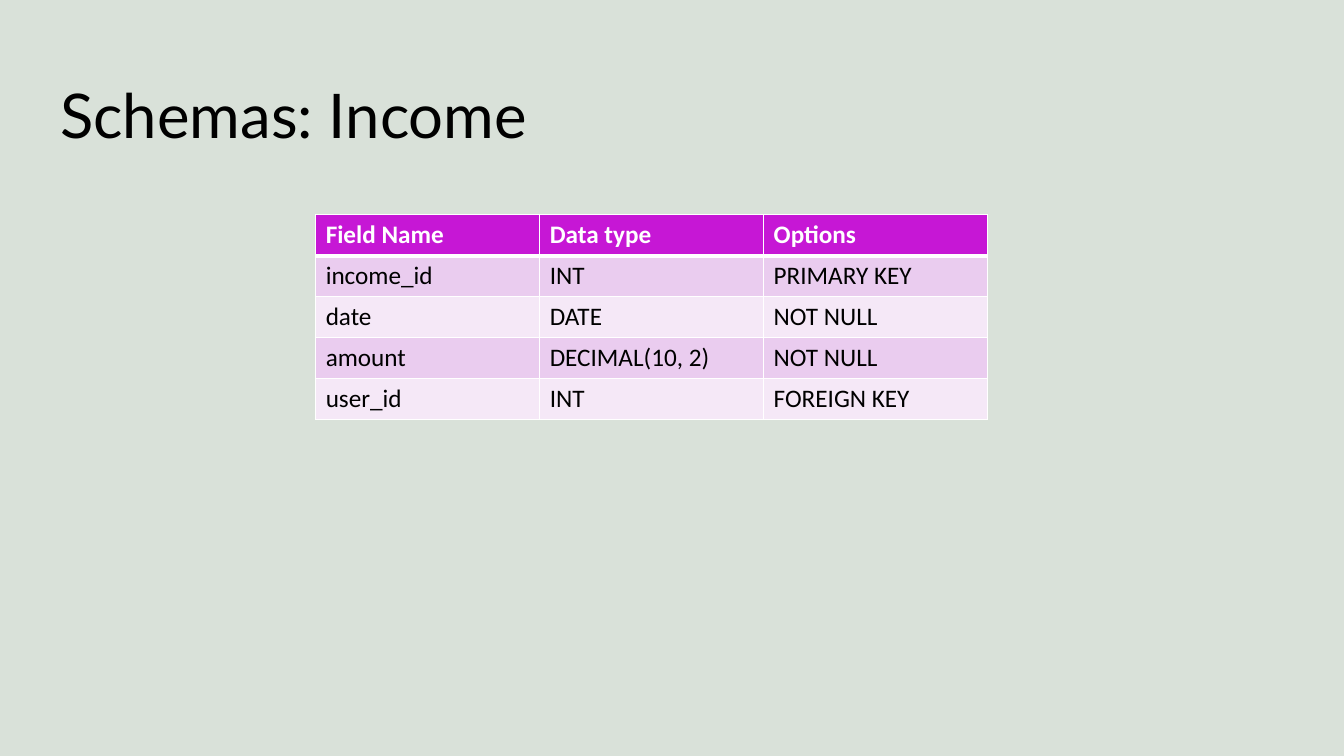
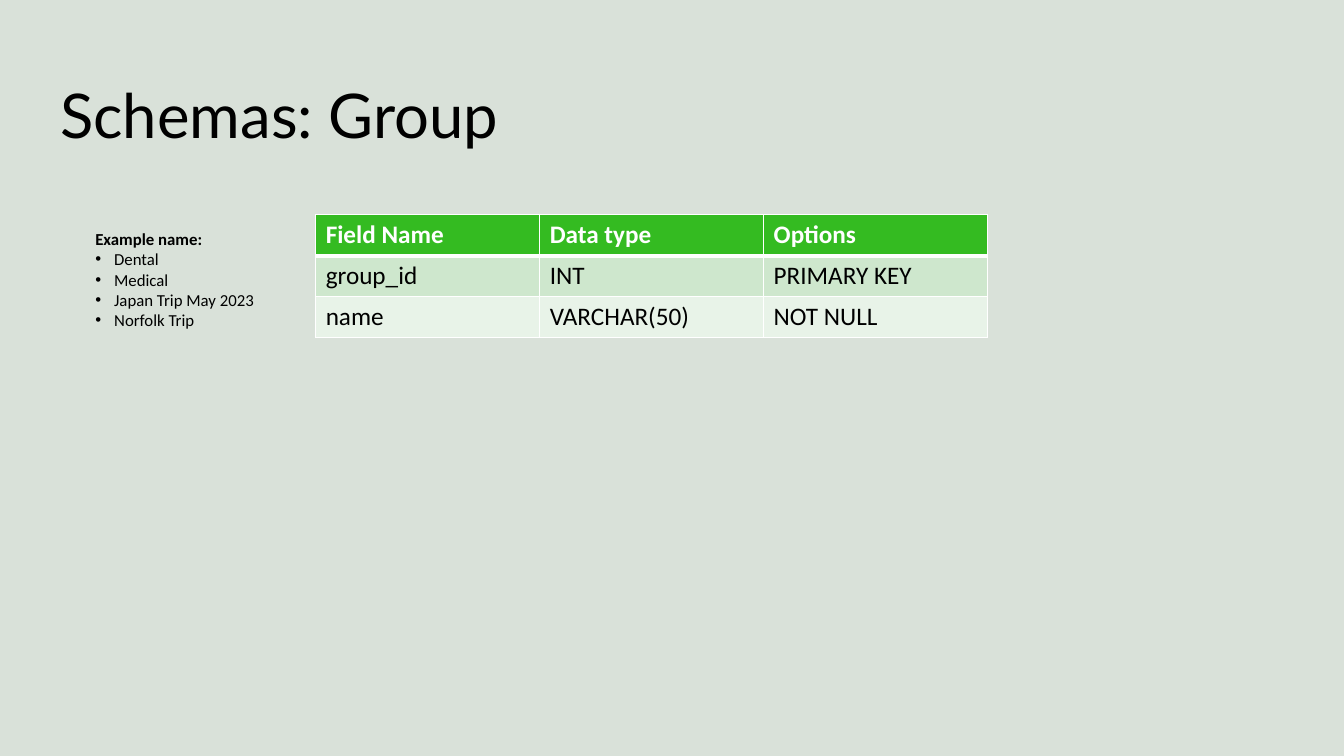
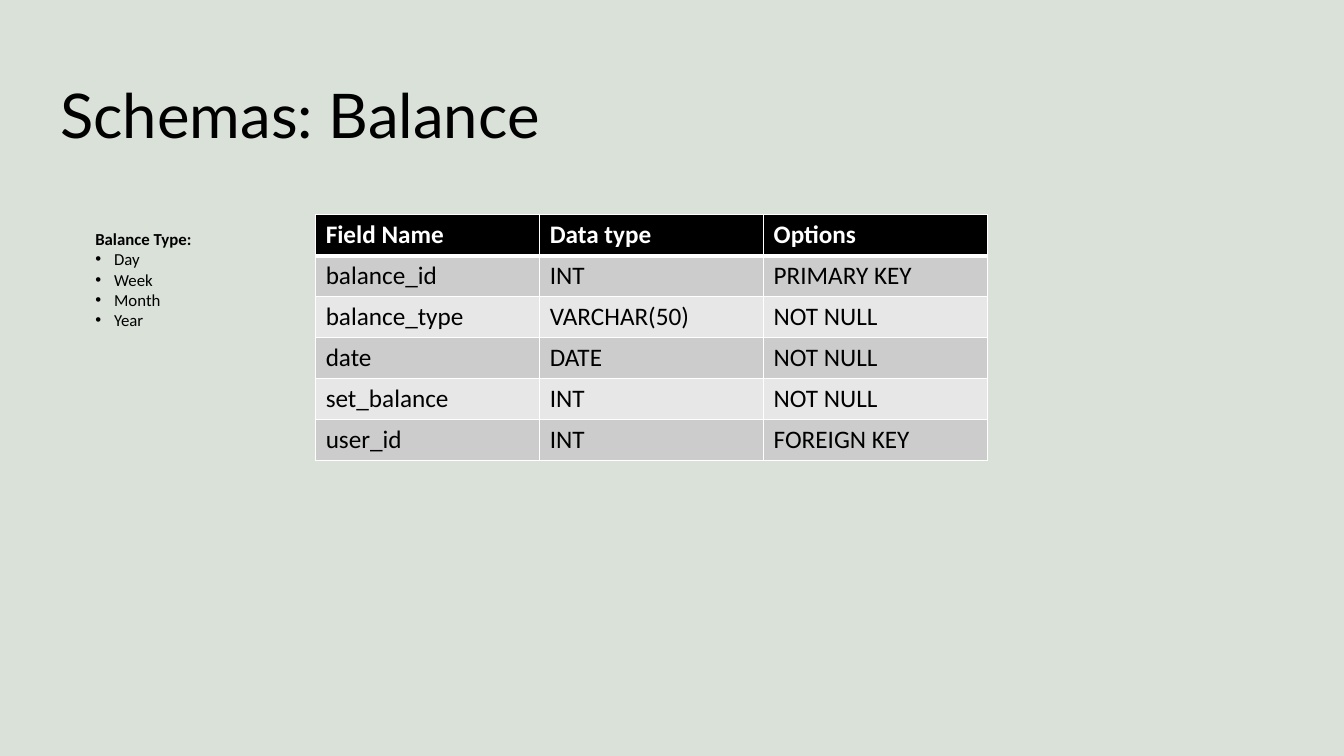
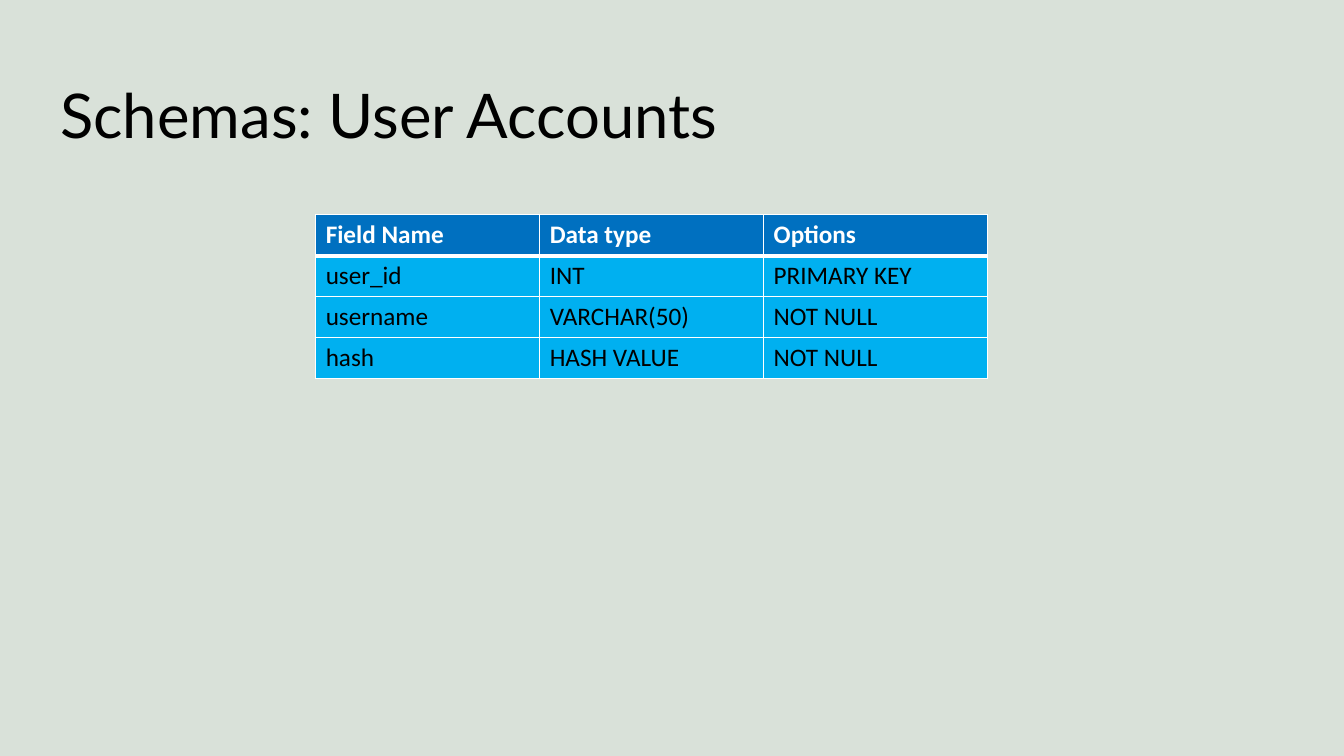
"""Build four slides that describe database schemas."""
from pptx import Presentation
from pptx.dml.color import RGBColor
from pptx.enum.text import MSO_ANCHOR
from pptx.oxml import parse_xml
from pptx.oxml.ns import nsdecls
from pptx.util import Pt

MIDDLE = MSO_ANCHOR.MIDDLE
SAGE = RGBColor(0xD9, 0xE1, 0xD9)
BLACK = RGBColor(0x00, 0x00, 0x00)
WHITE = RGBColor(0xFF, 0xFF, 0xFF)
MAGENTA = RGBColor(0xC6, 0x17, 0xD5)
LILAC = RGBColor(0xEA, 0xCC, 0xEF)
PALE_LILAC = RGBColor(0xF5, 0xE8, 0xF7)
GREEN = RGBColor(0x34, 0xBB, 0x21)
MINT = RGBColor(0xCE, 0xE7, 0xCD)
PALE_MINT = RGBColor(0xE8, 0xF3, 0xE8)
GREY = RGBColor(0xCC, 0xCC, 0xCC)
PALE_GREY = RGBColor(0xE7, 0xE7, 0xE7)
BLUE = RGBColor(0x00, 0x70, 0xC0)
SKY = RGBColor(0x00, 0xB0, 0xF0)

COL_W, ROW_H = 160, 29.2
HEADER = ("Field Name", "Data type", "Options")
SCHEMAS = [
    ("Income", (MAGENTA, LILAC, PALE_LILAC), [
        ("income_id", "INT", "PRIMARY KEY"),
        ("date", "DATE", "NOT NULL"),
        ("amount", "DECIMAL(10, 2)", "NOT NULL"),
        ("user_id", "INT", "FOREIGN KEY"),
    ], []),
    ("Group", (GREEN, MINT, PALE_MINT), [
        ("group_id", "INT", "PRIMARY KEY"),
        ("name", "VARCHAR(50)", "NOT NULL"),
    ], ["Example name:", "Dental", "Medical", "Japan Trip May 2023", "Norfolk Trip"]),
    ("Balance", (BLACK, GREY, PALE_GREY), [
        ("balance_id", "INT", "PRIMARY KEY"),
        ("balance_type", "VARCHAR(50)", "NOT NULL"),
        ("date", "DATE", "NOT NULL"),
        ("set_balance", "INT", "NOT NULL"),
        ("user_id", "INT", "FOREIGN KEY"),
    ], ["Balance Type:", "Day", "Week", "Month", "Year"]),
    ("User Accounts", (BLUE, SKY, SKY), [
        ("user_id", "INT", "PRIMARY KEY"),
        ("username", "VARCHAR(50)", "NOT NULL"),
        ("hash", "HASH VALUE", "NOT NULL"),
    ], []),
]


def write(tf, text, size=18, font="Calibri", color=BLACK, bold=False, bullet=False, new=False):
    p = tf.add_paragraph() if new else tf.paragraphs[0]
    r = p.add_run()
    r.text = text
    r.font.size = Pt(size)
    r.font.name = font
    r.font.color.rgb = color
    r.font.bold = bold
    if bullet:
        pPr = p._p.get_or_add_pPr()
        pPr.set("marL", str(Pt(13.5)))
        pPr.set("indent", str(Pt(-13.5)))
        pPr.append(parse_xml(f'<a:buFont {nsdecls("a")} typeface="Arial"/>'))
        pPr.append(parse_xml(f'<a:buChar {nsdecls("a")} char="•"/>'))


def add_borders(cell, **widths):
    tcPr = cell._tc.get_or_add_tcPr()
    for side, width in widths.items():
        tcPr.append(parse_xml(
            f'<a:ln{side} {nsdecls("a")} w="{Pt(width)}"><a:solidFill>'
            f'<a:srgbClr val="{WHITE}"/></a:solidFill></a:ln{side}>'))


prs = Presentation()
prs.slide_width, prs.slide_height = Pt(960), Pt(540)
fill = prs.slide_master.background.fill
fill.solid()
fill.fore_color.rgb = SAGE
blank = prs.slide_layouts[6]

for name, (head, *bands), fields, notes in SCHEMAS:
    s = prs.slides.add_slide(blank)
    tf = s.shapes.add_textbox(Pt(36), Pt(28.8), Pt(858), Pt(104.4)).text_frame
    tf.word_wrap = True
    tf.vertical_anchor = MIDDLE
    write(tf, f"Schemas: {name}", size=44, font="Lato")

    rows = [HEADER, *fields]
    table = s.shapes.add_table(len(rows), len(HEADER), Pt(225.5), Pt(153.5),
                               Pt(COL_W * len(HEADER)), Pt(ROW_H * len(rows))).table
    for col in table.columns:
        col.width = Pt(COL_W)
    for i, row in enumerate(rows):
        table.rows[i].height = Pt(ROW_H)
        for j, text in enumerate(row):
            cell = table.cell(i, j)
            add_borders(cell, L=1, R=1, T=3 if i == 1 else 1, B=3 if i == 0 else 1)
            cell.fill.solid()
            cell.fill.fore_color.rgb = bands[(i - 1) % 2] if i else head
            write(cell.text_frame, text, color=BLACK if i else WHITE, bold=i == 0)

    if notes:
        tf = s.shapes.add_textbox(Pt(61), Pt(160), Pt(157.5), Pt(80)).text_frame
        tf.word_wrap = True
        for i, text in enumerate(notes):
            write(tf, text, size=12, bold=i == 0, bullet=i > 0, new=i > 0)

prs.save("out.pptx")
